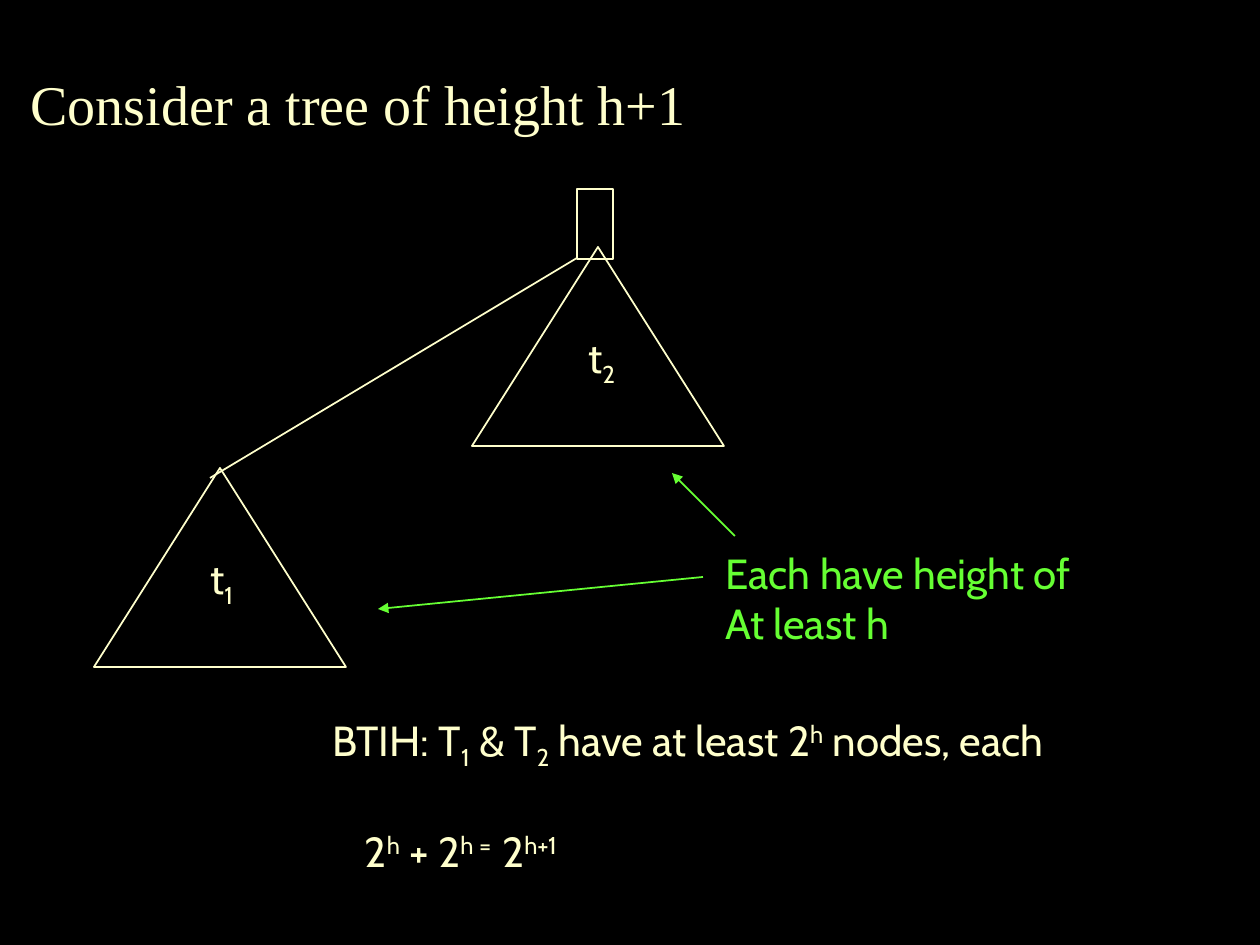
from pptx import Presentation
from pptx.dml.color import RGBColor
from pptx.enum.shapes import MSO_CONNECTOR, MSO_SHAPE
from pptx.enum.text import MSO_ANCHOR, PP_ALIGN
from pptx.oxml.ns import qn
from pptx.util import Pt
from lxml.etree import SubElement

SCALE = 914400 / 126
HUES = {"back": "000000", "cream": "FFFFCC", "green": "66FF33"}
SUB, SUP = -25000, 30000


def px(*sizes):
    return [round(size * SCALE) for size in sizes]


def hue(name):
    return RGBColor.from_string(HUES[name])


class Deck:
    def __init__(self, wide, high):
        self.show = Presentation()
        self.show.slide_width, self.show.slide_height = px(wide, high)
        self.font, self.size = "Cabin", 24

    def page(self):
        self.slide = self.show.slides.add_slide(self.show.slide_layouts[5])
        fill = self.slide.background.fill
        fill.solid()
        fill.fore_color.rgb = hue("back")

    def style(self, run, font, size, tint):
        run.font.name = font
        run.font.size = Pt(size)
        run.font.color.rgb = hue(tint)

    def title(self, text, x, y, w, h):
        box = self.slide.shapes.title
        box.left, box.top, box.width, box.height = px(x, y, w, h)
        frame = box.text_frame
        frame.text = text
        frame.vertical_anchor = MSO_ANCHOR.TOP
        line = frame.paragraphs[0]
        line.alignment = PP_ALIGN.LEFT
        line.space_before = Pt(8)
        self.style(line.runs[0], "Times New Roman", 32, "cream")

    def text(self, rows, x, y, w, h, tint="cream"):
        frame = self.slide.shapes.add_textbox(*px(x, y, w, h)).text_frame
        frame.word_wrap = True
        for at, row in enumerate(rows):
            line = frame.add_paragraph() if at else frame.paragraphs[0]
            for words, base in row:
                run = line.add_run()
                run.text = words
                self.style(run, self.font, self.size, tint)
                if base:
                    run.font._element.set("baseline", str(base))

    def shape(self, kind, x, y, w, h):
        form = self.slide.shapes.add_shape(kind, *px(x, y, w, h))
        form.shadow.inherit = False
        form.fill.background()
        form.line.color.rgb = hue("cream")
        form.line.width = Pt(1)

    def line(self, x, y, to_x, to_y, tint="cream", arrow=False):
        link = self.slide.shapes.add_connector(
            MSO_CONNECTOR.STRAIGHT, *px(x, y, to_x, to_y))
        link.line.color.rgb = hue(tint)
        link.line.width = Pt(1)
        if arrow:
            SubElement(link.line._get_or_add_ln(), qn("a:tailEnd"), type="triangle")
        SubElement(link._element.spPr, qn("a:effectLst"))

    def tree(self, digit, x, y, text_x, text_y):
        self.shape(MSO_SHAPE.ISOSCELES_TRIANGLE, x, y, 252, 199)
        self.text([[("t", 0), (digit, SUB)]], text_x, text_y, 60, 76)


def main():
    deck = Deck(1260, 945)
    deck.page()
    deck.title("Consider a tree of height h+1", 18, 63, 1226, 116)
    deck.shape(MSO_SHAPE.RECTANGLE, 577, 189, 36, 70)
    deck.tree("2", 472, 247, 576, 325)
    deck.line(577, 258, 210, 478)
    deck.tree("1", 94, 468, 198, 546)
    deck.text([[("Each have height of", 0)], [("At least h", 0)]],
              713, 541, 412, 127, "green")
    deck.line(735, 536, 672, 473, "green", True)
    deck.line(703, 577, 378, 609, "green", True)
    deck.text([[("BTIH: T", 0), ("1", SUB), (" & T", 0), ("2", SUB),
                (" have at least 2", 0), ("h", SUP), (" nodes, each", 0)]],
              320, 708, 827, 76)
    deck.text([[(" 2", 0), ("h", SUP), (" + 2", 0), ("h =  ", SUP),
                ("2", 0), ("h+1", SUP)]], 343, 819, 271, 71)
    deck.show.save("out.pptx")


if __name__ == "__main__":
    main()
